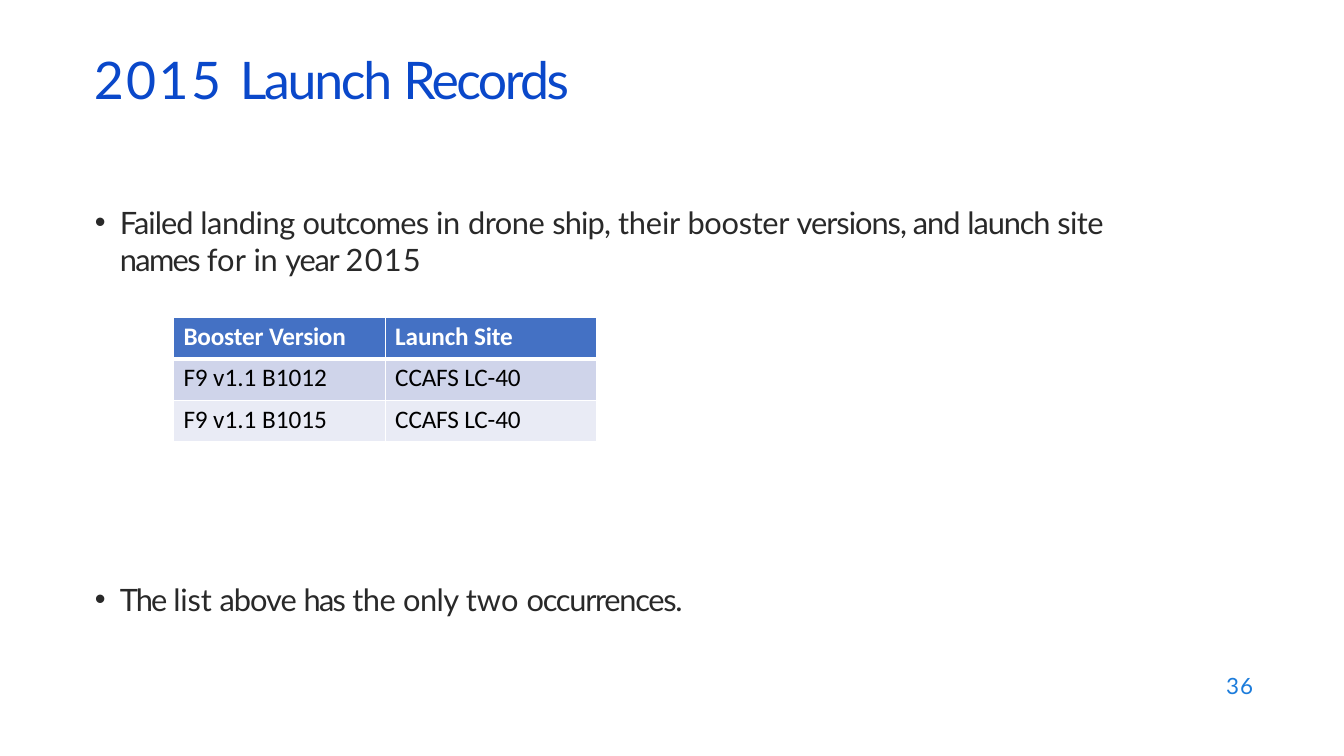
import pptx
import pptx.dml.color
import pptx.enum.text
import pptx.oxml.ns
import pptx.util
from lxml import etree

Inches = pptx.util.Inches
Pt = pptx.util.Pt
ANCHOR = pptx.enum.text.MSO_ANCHOR
ALIGN = pptx.enum.text.PP_ALIGN

INK, TITLE_BLUE, NUMBER_BLUE = "292929", "0A48CA", "1C7CDB"
HEADER_FILL, BAND_FILLS = "4471C4", ["CFD4EA", "E9EBF5"]
WHITE, BLACK = "FFFFFF", "000000"

# Each run is (text, letter spacing in points)
TITLE = [("2015 ", 1.8), ("Launch ", -1.6), ("Records", -1.8)]
FAILURES = [
    ("Failed ", -0.7), ("landing ", -0.3), ("outcomes ", -0.6), ("in ", -0.2),
    ("drone ", -0.3), ("ship, ", -0.6), ("their ", -0.1), ("booster ", -0.2),
    ("versions, and ", -0.7), ("launch ", -0.8), ("site ", -0.4),
    ("names ", -1.2), ("for ", 0.1), ("in ", -0.2), ("year ", -0.9), ("2015", 0.9),
]
CONCLUSION = [
    ("The ", -1.4), ("list ", -0.1), ("above ", -0.7), ("has ", -1.2),
    ("the ", -0.3), ("only ", -0.4), ("two ", 0.1), ("occurrences.", -0.9),
]
RECORDS = [
    [[("Booster ", -0.1), ("Version", -0.2)], [("Launch Site", -0.1)]],
    [[("F9 ", -0.1), ("v1.1 B1012", 0)], [("CCAFS LC-40", -0.1)]],
    [[("F9 ", -0.1), ("v1.1 B1015", 0)], [("CCAFS LC-40", -0.1)]],
]


def rgb(color):
    return pptx.dml.color.RGBColor.from_string(color)


def add_element(parent, tag, **attributes):
    return etree.SubElement(parent, pptx.oxml.ns.qn(tag), attributes)


def add_runs(paragraph, runs, size, color, font="Lato", bold=False):
    for text, spacing in runs:
        run = paragraph.add_run()
        run.text = text
        run.font.name = font
        run.font.size = Pt(size)
        run.font.bold = bold
        run.font.color.rgb = rgb(color)
        run.font._element.set("spc", str(round(spacing * 100)))


def prepare_text(holder, box, top_inset=0.01):
    """Place a text holder and return its first paragraph, ready for runs."""
    holder.left, holder.top, holder.width, holder.height = map(Inches, box)
    frame = holder.text_frame
    frame.margin_left = frame.margin_right = frame.margin_bottom = 0
    frame.margin_top = Inches(top_inset)
    frame.word_wrap = True
    frame.auto_size = pptx.enum.text.MSO_AUTO_SIZE.NONE
    frame.vertical_anchor = ANCHOR.TOP
    paragraph = frame.paragraphs[0]
    paragraph.alignment = ALIGN.LEFT
    paragraph.space_before = Pt(0)
    return paragraph


def fill_title(title, box):
    add_runs(prepare_text(title, box), TITLE, 37, TITLE_BLUE)


def fill_bullet(body, box, runs):
    paragraph = prepare_text(body, box)
    properties = paragraph._p.get_or_add_pPr()
    properties.set("marL", str(Inches(0.26)))
    properties.set("indent", str(Inches(-0.25)))
    add_element(properties, "a:buFont", typeface="Arial")
    add_element(properties, "a:buChar", char="•")
    add_runs(paragraph, runs, 22, INK)


def add_page_number(slide, box):
    number = slide.shapes.add_textbox(*map(Inches, box))
    paragraph = prepare_text(number, box, top_inset=0)
    paragraph._p.get_or_add_pPr().set("marL", str(Inches(0.04)))
    paragraph.line_spacing = Pt(18.4)
    add_runs(paragraph, [("36", 0.8)], 16, NUMBER_BLUE)


def style_cell(cell, fill, widths):
    """Set margins, white borders of the given widths, and the fill."""
    cell.margin_left = Inches(0.1)
    cell.margin_right = cell.margin_bottom = 0
    cell.margin_top = Inches(0.04)
    properties = cell._tc.get_or_add_tcPr()
    for side, width in widths.items():
        line = add_element(properties, f"a:ln{side}", w=str(Pt(width)))
        add_element(add_element(line, "a:solidFill"), "a:srgbClr", val=WHITE)
    cell.fill.solid()
    cell.fill.fore_color.rgb = rgb(fill)


def add_records(slide, box):
    table = slide.shapes.add_table(
        len(RECORDS), len(RECORDS[0]), *map(Inches, box)).table
    for row, record in enumerate(RECORDS):
        header = row == 0
        fill = HEADER_FILL if header else BAND_FILLS[row - 1]
        # The thick rule lies between the header and the first record
        widths = {"L": 1, "R": 1, "T": 3 if row == 1 else 1, "B": 3 if header else 1}
        for column, runs in enumerate(record):
            cell = table.cell(row, column)
            style_cell(cell, fill, widths)
            add_runs(cell.text_frame.paragraphs[0], runs, 18,
                     WHITE if header else BLACK, "Calibri", header)


def build_launch_records(presentation):
    # Two Content layout: a title and two bodies
    slide = presentation.slides.add_slide(presentation.slide_layouts[3])
    title, failures, conclusion = slide.placeholders
    left = 0.93
    fill_title(title, (left, 0.46, 4.89, 0.65))
    fill_bullet(failures, (left, 2.01, 10.41, 0.76), FAILURES)
    add_records(slide, (left + 0.79, 3.15, 4.2, 1.23))
    fill_bullet(conclusion, (left, 5.75, 6.05, 0.39), CONCLUSION)
    add_page_number(slide, (12.12, 6.68, 0.35, 0.28))


def main():
    presentation = pptx.Presentation()
    presentation.slide_width = Inches(13.33)
    presentation.slide_height = Inches(7.5)
    build_launch_records(presentation)
    presentation.save("out.pptx")


if __name__ == "__main__":
    main()
